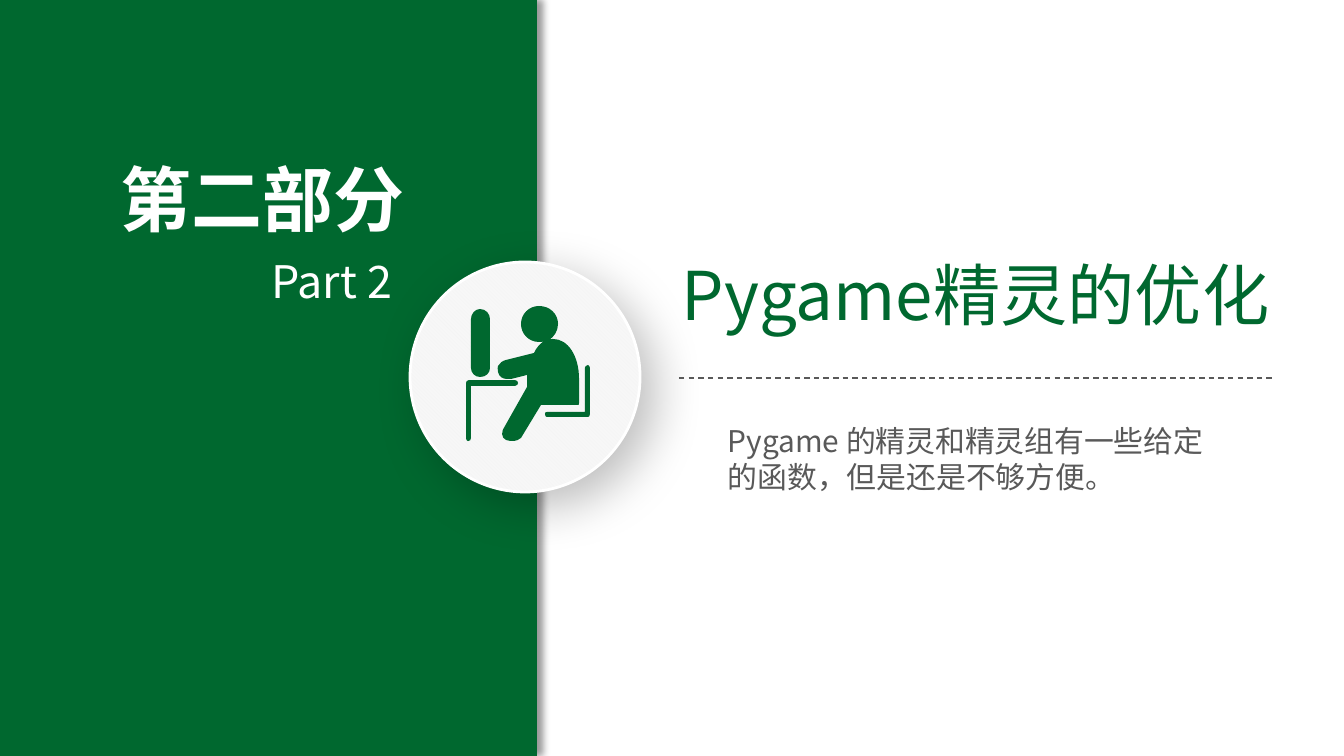
"""Builds the section slide for part two, on optimising Pygame sprites."""
from lxml import etree
from pptx import Presentation
from pptx.dml.color import RGBColor
from pptx.enum.dml import MSO_LINE, MSO_PATTERN
from pptx.enum.shapes import MSO_CONNECTOR, MSO_SHAPE
from pptx.enum.text import MSO_AUTO_SIZE, PP_ALIGN
from pptx.oxml import parse_xml
from pptx.oxml.ns import nsdecls, qn
from pptx.util import Pt

PX = 914400 / 134.4
FONT = "Noto Sans CJK SC"
COLORS = {"green": "00682F", "white": "FFFFFF", "grey": "595959",
          "disc_dark": "F3F3F3", "disc_light": "F7F7F7", "shadow": "000000"}
RGB = {name: RGBColor.from_string(value) for name, value in COLORS.items()}


def emu(*lengths):
    return [round(length * PX) for length in lengths]


def add_shadow(sp, alpha, blur, distance, angle):
    sp.shadow.inherit = False
    effects = sp._element.spPr.find(qn("a:effectLst"))
    effects.append(parse_xml(
        f'<a:outerShdw {nsdecls("a")} blurRad="{Pt(blur)}" dist="{Pt(distance)}" '
        f'dir="{angle * 60000}" algn="ctr" rotWithShape="0">'
        f'<a:srgbClr val="{COLORS["shadow"]}"><a:alpha val="{alpha * 1000}"/>'
        '</a:srgbClr></a:outerShdw>'))


prs = Presentation()
prs.slide_width, prs.slide_height = emu(1344, 756)
s = prs.slides.add_slide(prs.slide_layouts[6])

panel = s.shapes.add_shape(MSO_SHAPE.RECTANGLE, *emu(0, 0, 537, 756))
panel.fill.solid()
panel.fill.fore_color.rgb = RGB["green"]
panel.line.fill.background()
add_shadow(panel, 40, 4, 3, 0)

disc = s.shapes.add_shape(MSO_SHAPE.OVAL, *emu(410, 262, 230, 230))
disc.fill.patterned()
disc.fill.pattern = MSO_PATTERN.DARK_DOWNWARD_DIAGONAL
disc.fill.fore_color.rgb = RGB["disc_dark"]
disc.fill.back_color.rgb = RGB["disc_light"]
disc.line.color.rgb = RGB["white"]
disc.line.width = Pt(1.5)
add_shadow(disc, 25, 27, 10, 45)

rule = s.shapes.add_connector(MSO_CONNECTOR.STRAIGHT, *emu(679, 378, 1272, 378))
rule.line.color.rgb = RGB["grey"]
rule.line.width = Pt(0.75)
rule.line.dash_style = MSO_LINE.DASH
etree.SubElement(rule._element.spPr, qn("a:effectLst"))

# Two numbers draw a straight side, six draw a cubic curve.
desk = [(469, 380), (515, 380), (517, 380, 518, 382, 518, 383),
        (518, 384, 517, 386, 515, 386), (471, 386), (471, 438),
        (471, 440, 470, 441, 468, 441), (467, 441, 466, 440, 466, 438),
        (466, 383), (466, 382, 467, 380, 469, 380)]
monitor = [(490, 368), (490, 319), (490, 314, 486, 309, 480, 309),
           (475, 309, 471, 314, 471, 319), (471, 368),
           (471, 373, 475, 377, 480, 377), (486, 377, 490, 373, 490, 368)]
person = [(505, 426), (501, 431, 501, 438, 506, 440),
          (509, 441, 511, 441, 512, 441), (516, 441, 519, 440, 521, 438),
          (541, 405), (577, 405), (579, 405, 579, 405, 579, 403),
          (579, 379), (579, 356, 568, 339, 553, 339),
          (551, 339, 550, 339, 549, 340), (554, 337, 558, 331, 558, 324),
          (558, 314, 550, 306, 539, 306), (529, 306, 521, 314, 521, 324),
          (521, 334, 529, 342, 539, 342), (541, 342, 543, 342, 544, 341),
          (540, 344, 536, 348, 534, 353), (506, 360),
          (502, 361, 500, 363, 498, 366), (498, 367, 497, 369, 498, 372),
          (499, 377, 503, 379, 507, 379), (509, 379, 509, 379, 511, 379),
          (527, 375), (527, 377, 527, 378, 527, 380), (527, 387), (505, 426)]
chair = [(547, 412), (585, 412), (585, 368), (585, 367, 586, 365, 588, 365),
         (589, 365, 590, 367, 590, 368), (590, 414),
         (590, 416, 589, 417, 588, 417), (547, 417),
         (546, 417, 545, 416, 545, 414), (545, 412, 546, 412, 547, 412)]

icon = s.shapes.add_group_shape()
for outline in (desk, monitor, person, chair):
    builder = icon.shapes.build_freeform(*emu(*outline[0]))
    builder.add_line_segments([emu(*segment[-2:]) for segment in outline[1:]])
    sp = builder.convert_to_shape()
    sides = list(sp._element.iter(qn("a:lnTo")))
    for side, segment in zip(sides, outline[1:]):
        if len(segment) == 6:
            side.tag = qn("a:cubicBezTo")
            side.clear()
            xy = emu(*segment)
            for x, y in zip(xy[::2], xy[1::2]):
                etree.SubElement(side, qn("a:pt"), x=str(x - sp.left), y=str(y - sp.top))
    sp.shadow.inherit = False
    sp.fill.solid()
    sp.fill.fore_color.rgb = RGB["green"]
    sp.line.fill.background()

texts = [
    ("Pygame精灵的优化", (648, 248, 655, 93), (11, 5), 36, "green", False, PP_ALIGN.CENTER),
    ("Pygame 的精灵和精灵组有一些给定的函数，但是还是不够方便。",
     (714, 416, 505, 86), (14, 7), 16, "grey", False, PP_ALIGN.LEFT),
    ("Part 2", (140, 249, 262, 65), (10, 5), 24, "white", False, PP_ALIGN.RIGHT),
    ("第二部分", (107, 151, 311, 97), (10, 5), 38, "white", True, PP_ALIGN.CENTER),
]
for text, box, inset, size, color, bold, align in texts:
    tf = s.shapes.add_textbox(*emu(*box)).text_frame
    tf.word_wrap = True
    tf.auto_size = MSO_AUTO_SIZE.SHAPE_TO_FIT_TEXT
    tf.margin_left, tf.margin_top = tf.margin_right, tf.margin_bottom = emu(*inset)
    p = tf.paragraphs[0]
    p.alignment = align
    r = p.add_run()
    r.text = text
    r.font.name = FONT
    r.font.size = Pt(size)
    r.font.bold = bold
    r.font.color.rgb = RGB[color]
    etree.SubElement(r._r.rPr, qn("a:ea"), typeface=FONT)

prs.save("out.pptx")
